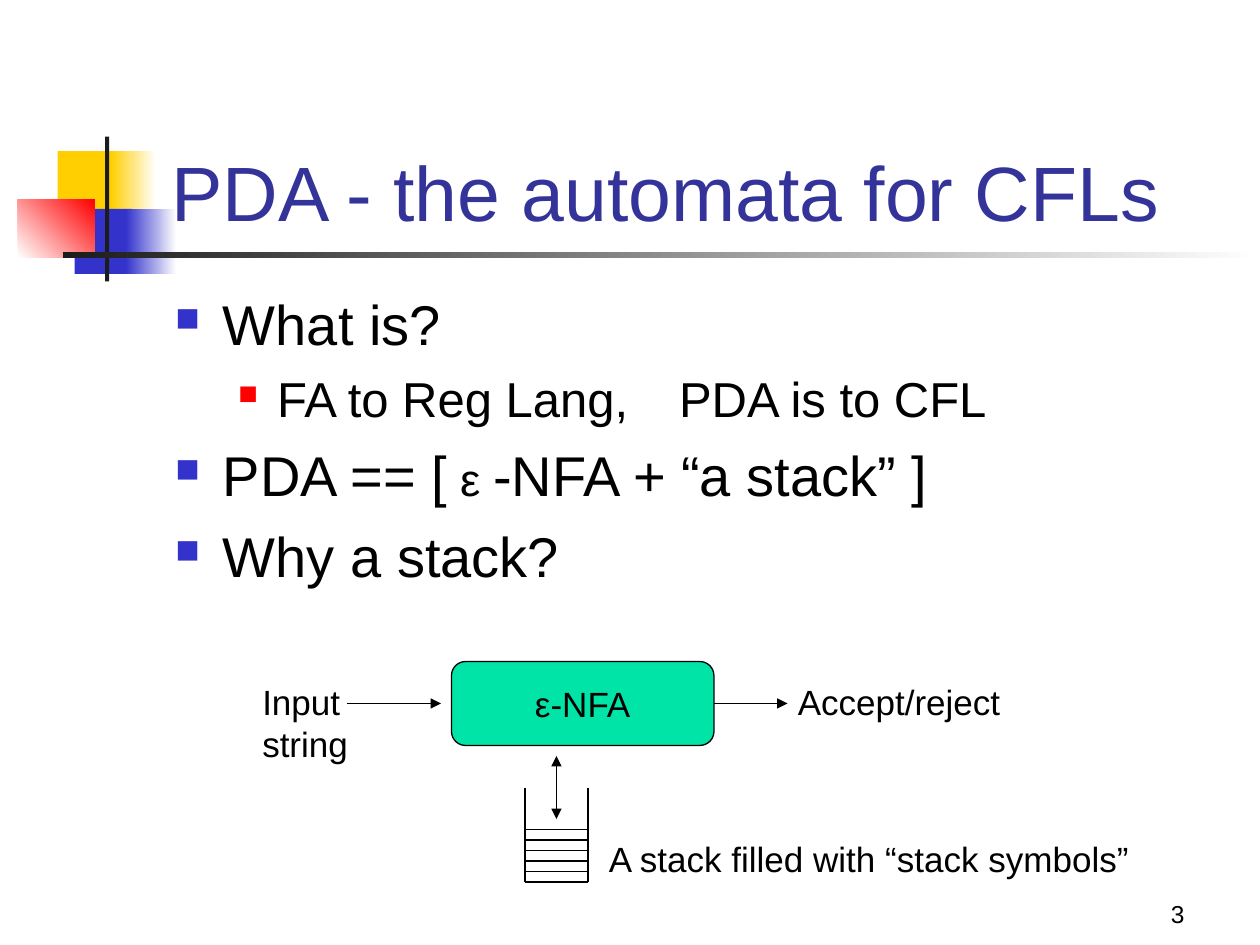
from dataclasses import dataclass

from lxml.etree import SubElement
from pptx import Presentation
from pptx.dml.color import RGBColor
from pptx.enum.shapes import MSO_CONNECTOR, MSO_SHAPE
from pptx.enum.text import MSO_ANCHOR, MSO_AUTO_SIZE, PP_ALIGN
from pptx.oxml.ns import qn
from pptx.util import Inches, Pt


@dataclass(frozen=True)
class Theme:
    font: str = "Arial"
    ink: str = "000000"
    title: str = "333399"
    gold: str = "FFCF01"
    blue: str = "3333CC"
    red: str = "FF0000"
    dark: str = "1C1C1C"
    white: str = "FFFFFF"
    green: str = "00E4A8"
    head: int = 44
    big: int = 32
    mid: int = 28
    eps: int = 26
    label: int = 20
    small: int = 14
    line: float = 0.75


T = Theme()
COLS, ROWS = 120, 90  # grid of twelfths of an inch


def unit(n):
    return Inches(n / 12)


def rgb(code):
    return RGBColor.from_string(code)


def style(font, size, color=T.ink):
    font.name, font.size = T.font, Pt(size)
    font.color.rgb = rgb(color)


def block(slide, kind, x, y, w, h, color, fade=None, angle=0):
    shape = slide.shapes.add_shape(kind, unit(x), unit(y), unit(w), unit(h))
    shape.shadow.inherit = False
    shape.line.fill.background()
    if fade:
        shape.fill.gradient()
        shape.fill.gradient_angle = angle
        for stop, code in zip(shape.fill.gradient_stops, (color, fade)):
            stop.color.rgb = rgb(code)
    else:
        shape.fill.solid()
        shape.fill.fore_color.rgb = rgb(color)
    return shape


def line(slide, x1, y1, x2, y2, *ends):
    """Straight line; ends may hold headEnd and tailEnd, in that order."""
    link = slide.shapes.add_connector(
        MSO_CONNECTOR.STRAIGHT, unit(x1), unit(y1), unit(x2), unit(y2))
    link.line.color.rgb = rgb(T.ink)
    link.line.width = Pt(T.line)
    props = link.line._get_or_add_ln()
    for end in ends:
        SubElement(props, qn(f"a:{end}"), type="triangle")
    SubElement(link._element.spPr, qn("a:effectLst"))


def label(slide, x, y, w, h, rows, size=T.label, align=PP_ALIGN.LEFT,
          anchor=MSO_ANCHOR.TOP):
    box = slide.shapes.add_textbox(unit(x), unit(y), unit(w), unit(h))
    frame = box.text_frame
    frame.word_wrap = True
    frame.vertical_anchor = anchor
    frame.text = "\n".join(rows)
    for para in frame.paragraphs:
        para.alignment = align
        style(para.font, size)


def bullet(para, color, share, left, hang):
    props = para._p.get_or_add_pPr()
    props.set("marL", str(Inches(left)))
    props.set("indent", str(-Inches(hang)))
    tint = SubElement(props, qn("a:buClr"))
    SubElement(tint, qn("a:srgbClr"), val=color)
    SubElement(props, qn("a:buSzPct"), val=str(share * 1000))
    SubElement(props, qn("a:buChar"), char="■")


def emblem(slide, x, y):
    # Squares, each solid or fading, then the upright bar and the rule
    parts = [
        (3.8, 1.4, 5.8, 6.2, T.gold),
        (8.86, 1.4, 4.3, 6.2, T.gold, T.white),
        (5.4, 6.9, 5.5, 6.2, T.blue),
        (10.3, 6.9, 4.8, 6.2, T.blue, T.white),
        (0, 6, 7.3, 5.5, T.white, T.red, 45),
        (8.3, 0, 0.4, 13.8, T.dark),
        (4.3, 11, 114, 0.6, T.dark, T.white),
    ]
    for dx, dy, w, h, *paint in parts:
        block(slide, MSO_SHAPE.RECTANGLE, x + dx, y + dy, w, h, *paint)


def heading(slide, x, y, w, h):
    box = slide.shapes.title
    box.left, box.top, box.width, box.height = map(unit, (x, y, w, h))
    frame = box.text_frame
    frame.text = "PDA - the automata for CFLs"
    frame.auto_size = MSO_AUTO_SIZE.NONE
    frame.vertical_anchor = MSO_ANCHOR.BOTTOM
    para = frame.paragraphs[0]
    para.alignment = PP_ALIGN.LEFT
    style(para.font, T.head, T.title)


def points(slide, x, y, w, h):
    levels = [(T.big, T.blue, 60, 0.38, 0.38), (T.mid, T.red, 55, 0.81, 0.31)]
    items = [
        (0, ["What is?"]),
        (1, ["FA to Reg Lang, \tPDA is to CFL"]),
        (0, ["PDA == [", " ε ", "-NFA + “a stack” ]"]),
        (0, ["Why a stack?"]),
    ]
    box = slide.shapes.add_textbox(unit(x), unit(y), unit(w), unit(h))
    frame = box.text_frame
    frame.word_wrap = True
    for i, (level, texts) in enumerate(items):
        para = frame.add_paragraph() if i else frame.paragraphs[0]
        size, *mark = levels[level]
        para.level = level
        bullet(para, *mark)
        if i:
            para.space_before = Pt(round(size * 0.24, 1))
        style(para.font, size)
        for text in texts:
            run = para.add_run()
            run.text = text
            if text == " ε ":
                run.font.size = Pt(T.eps)


def machine(slide, x, y):
    # Automaton
    wide, high = 25, 8
    mid = y + high / 2
    box = block(slide, MSO_SHAPE.ROUNDED_RECTANGLE, x, y, wide, high, T.green)
    box.line.color.rgb = rgb(T.ink)
    box.line.width = Pt(T.line)
    frame = box.text_frame
    frame.vertical_anchor = MSO_ANCHOR.MIDDLE
    frame.text = "ε-NFA"
    frame.paragraphs[0].alignment = PP_ALIGN.CENTER
    style(frame.paragraphs[0].font, T.label)

    # Input and output
    line(slide, x - 10, mid, x - 1, mid, "tailEnd")
    line(slide, x + wide, mid, x + wide + 7, mid, "tailEnd")
    label(slide, x - 19.2, y + 1.2, 12, 9.2, ["Input", "string"])
    label(slide, x + 31.8, y + 1.2, 24, 5.2, ["Accept/reject"])

    # Stack: two walls, then the floor and four symbols under the top one
    left, right, top, floor = x + 7, x + 13, y + 12, y + 21
    for wall in (left, right):
        line(slide, wall, top, wall, floor)
    for row in range(6):
        line(slide, left, floor - row, right, floor - row)
    line(slide, x + 10, y + 9, x + 10, y + 15, "headEnd", "tailEnd")
    label(slide, x + 13.8, y + 16.2, 54, 5.2,
          ["A stack filled with “stack symbols”"])


def main():
    deck = Presentation()
    deck.slide_width, deck.slide_height = unit(COLS), unit(ROWS)
    slide = deck.slides.add_slide(deck.slide_layouts[5])
    emblem(slide, 1.7, 13)
    heading(slide, 15.1, 8.2, 102.2, 15)
    points(slide, 15.5, 27, 102, 33)
    machine(slide, 43, 63)
    # Page number
    label(slide, 89, 83, 25, 6, ["3"], T.small, PP_ALIGN.RIGHT,
          MSO_ANCHOR.BOTTOM)
    deck.save("out.pptx")


if __name__ == "__main__":
    main()
